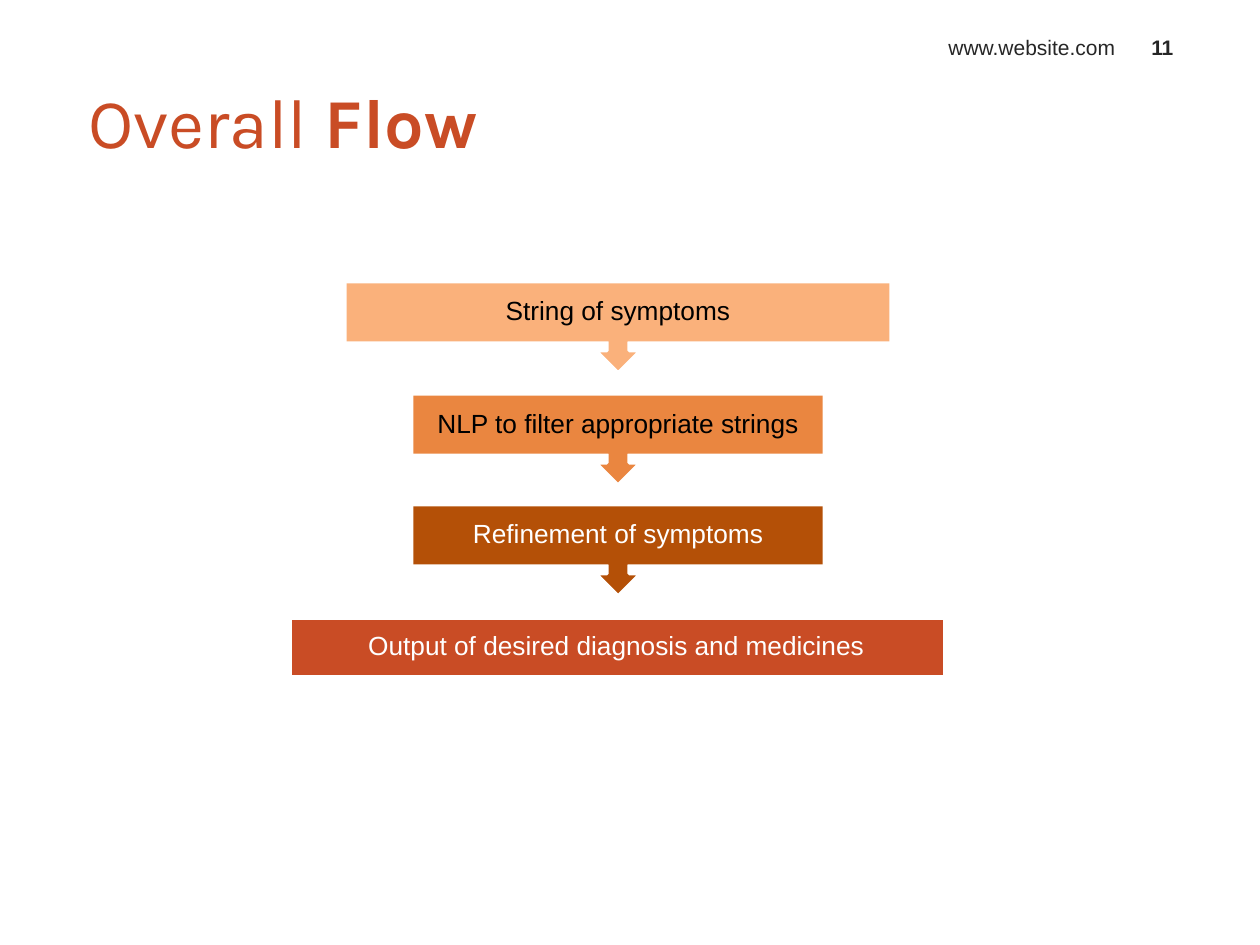
from dataclasses import dataclass

from pptx import Presentation
from pptx.dml.color import RGBColor
from pptx.enum.shapes import MSO_SHAPE
from pptx.enum.text import MSO_ANCHOR, PP_ALIGN
from pptx.util import Inches, Pt


@dataclass(frozen=True)
class Theme:
    accent: str = "C94C25"
    brown: str = "B45007"
    orange: str = "EA8640"
    peach: str = "FAB17B"
    white: str = "FFFFFF"
    black: str = "000000"
    grey: str = "262626"
    title_font: str = "Karla"
    body_font: str = "Arial"
    title_size: int = 40
    step_size: int = 15
    header_size: int = 12


theme = Theme()


def write_text(box, *runs, color, size, font=theme.body_font, align=PP_ALIGN.CENTER,
               anchor=MSO_ANCHOR.MIDDLE, insets=(0.1, 0.05, 0.1, 0.05), line_spacing=1.0):
    """Write (text, bold) runs as one paragraph."""
    frame = box.text_frame
    frame.word_wrap = True
    frame.vertical_anchor = anchor
    frame.margin_left, frame.margin_top, frame.margin_right, frame.margin_bottom = map(Inches, insets)
    para = frame.paragraphs[0]
    para.alignment = align
    para.line_spacing = line_spacing
    for text, bold in runs:
        span = para.add_run()
        span.text = text
        span.font.name = font
        span.font.size = Pt(size)
        span.font.bold = bold
        span.font.color.rgb = RGBColor.from_string(color)


def add_block(kind, left, top, width, height, fill, outlined=False):
    block = page.shapes.add_shape(kind, *map(Inches, (left, top, width, height)))
    block.shadow.inherit = False
    block.fill.solid()
    block.fill.fore_color.rgb = RGBColor.from_string(fill)
    if outlined:
        block.line.color.rgb = RGBColor.from_string(theme.white)
        block.line.width = Pt(2)
    else:
        block.line.fill.background()
    return block


deck = Presentation()
deck.slide_width, deck.slide_height = Inches(10), Inches(7.5)
page = deck.slides.add_slide(deck.slide_layouts[6])

# Title
title = page.shapes.add_textbox(Inches(0.5), Inches(0.52), Inches(5.2), Inches(0.87))
write_text(title, ("Overall", False), (" Flow", True), color=theme.accent, size=theme.title_size,
           font=theme.title_font, align=PP_ALIGN.LEFT, insets=(0.2, 0.05, 0, 0.05))

# Header: web address and page number
for text, bold, left, width, align in [
    ("www.website.com", False, 6.25, 2.7, PP_ALIGN.RIGHT),
    ("11", True, 8.95, 0.55, PP_ALIGN.CENTER),
]:
    header = page.shapes.add_textbox(Inches(left), Inches(0.19), Inches(width), Inches(0.33))
    write_text(header, (text, bold), color=theme.grey, size=theme.header_size,
               align=align, anchor=MSO_ANCHOR.BOTTOM)

# Flow, last step first so that each arrow lies above the next step
body_height, callout_height = 0.46, 0.71
steps = [
    ("Output of desired diagnosis and medicines ", 2.3, 4.91, 5.2, theme.accent, theme.white),
    ("Refinement of symptoms", 3.28, 4.02, 3.25, theme.brown, theme.white),
    ("NLP to filter appropriate strings", 3.28, 3.14, 3.25, theme.orange, theme.black),
    ("String of symptoms", 2.75, 2.25, 4.31, theme.peach, theme.black),
]
for number, (text, left, top, width, fill, color) in enumerate(steps):
    if number == 0:
        add_block(MSO_SHAPE.RECTANGLE, left, top, width, body_height, fill, outlined=True)
        label = add_block(MSO_SHAPE.RECTANGLE, 2.42, 5.01, 5, 0.25, fill)
    else:
        callout = add_block(MSO_SHAPE.UP_ARROW_CALLOUT, left, top, width, callout_height,
                            fill, outlined=True)
        callout.rotation = 180
        label = add_block(MSO_SHAPE.RECTANGLE, left, top, width, body_height, fill)
    write_text(label, (text, False), color=color, size=theme.step_size,
               insets=(0.12,) * 4, line_spacing=0.9)

deck.save("out.pptx")
